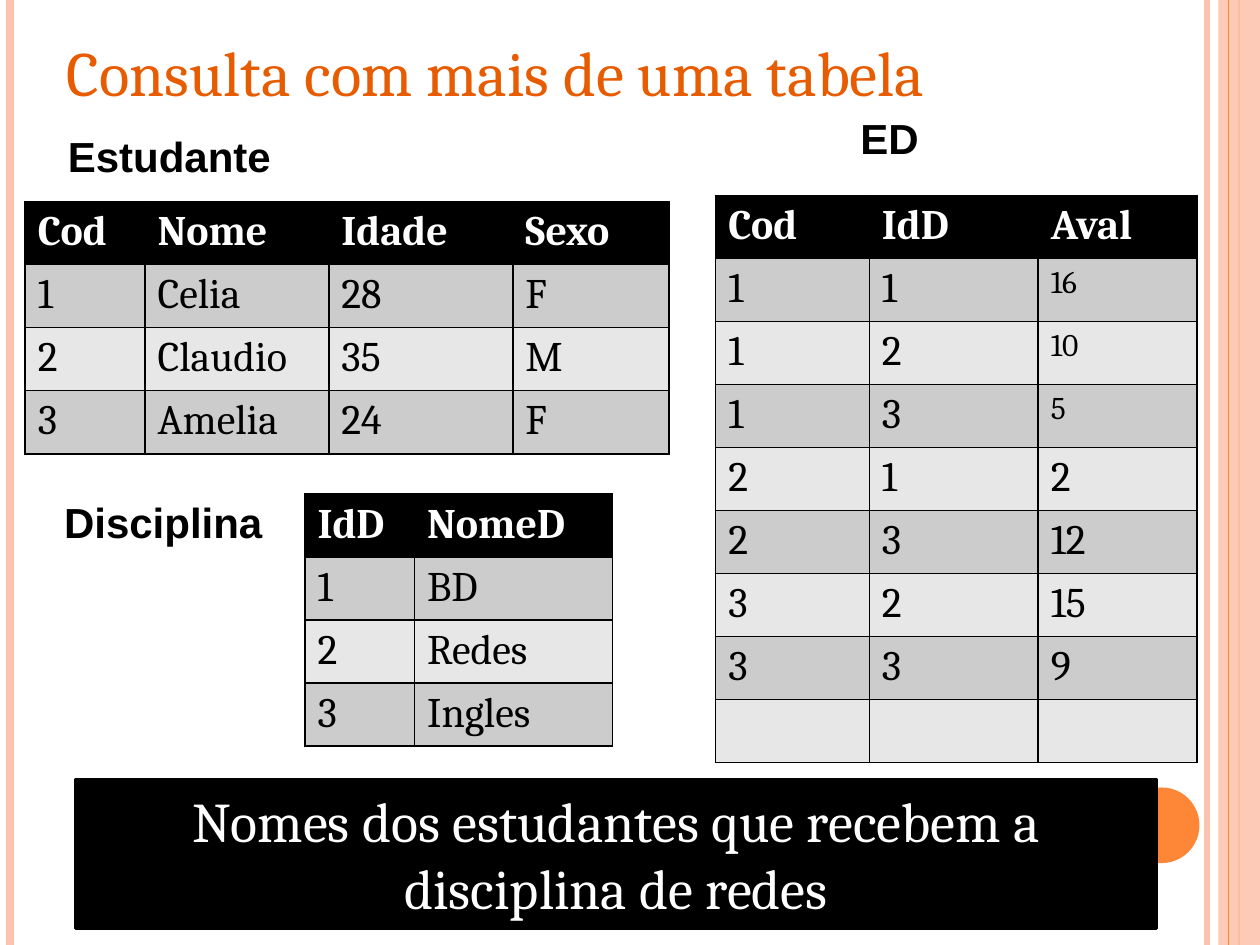
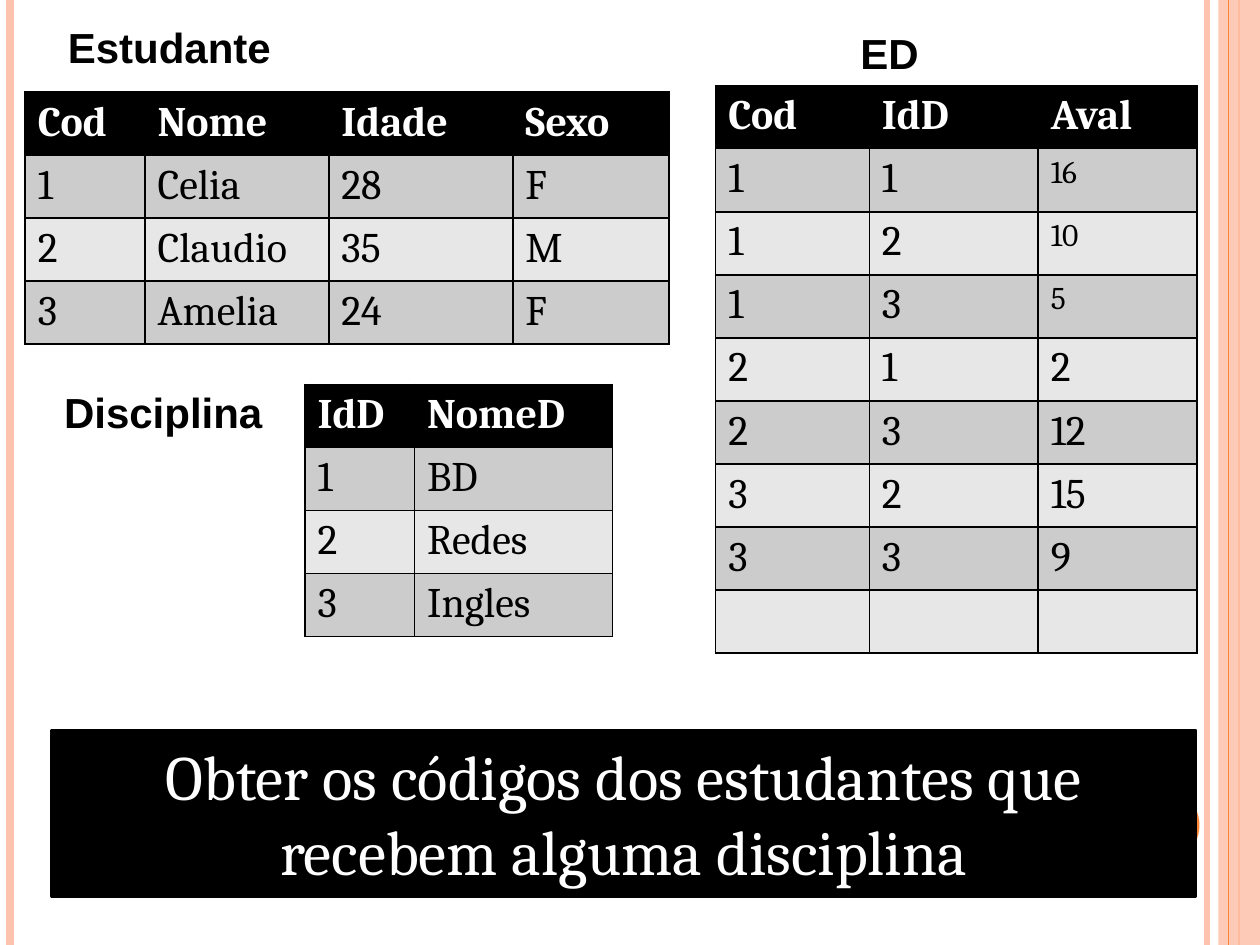
from lxml.etree import SubElement
from pptx import Presentation
from pptx.dml.color import RGBColor
from pptx.enum.shapes import MSO_CONNECTOR as Connector, MSO_SHAPE as Shape
from pptx.enum.text import MSO_AUTO_SIZE as AutoSize, MSO_ANCHOR as Anchor, PP_ALIGN as Align
from pptx.oxml import parse_xml
from pptx.oxml.ns import nsdecls, qn
from pptx.util import Inches, Pt

BLACK = RGBColor(0x00, 0x00, 0x00)
WHITE = RGBColor(0xFF, 0xFF, 0xFF)
ORANGE = RGBColor(0xFE, 0x86, 0x37)
PEACH = RGBColor(0xFE, 0xC3, 0xAE)
TITLE_ORANGE = RGBColor(0xE7, 0x5C, 0x01)
ROW_DARK = RGBColor(0xCC, 0xCC, 0xCC)
ROW_LIGHT = RGBColor(0xE7, 0xE7, 0xE7)

deck = Presentation()
deck.slide_width, deck.slide_height = Inches(10), Inches(7.5)

# Grid of 100 columns by 75 rows
COL = deck.slide_width // 100
ROW = deck.slide_height // 75


def place(left, top, width, height):
    return int(left * COL), int(top * ROW), int(width * COL), int(height * ROW)


def write(frame, text, size=24, font="Cambria", color=BLACK, bold=False, align=Align.LEFT):
    paragraph = frame.paragraphs[0]
    paragraph.alignment = align
    run = paragraph.add_run()
    run.text = text
    run.font.size, run.font.name, run.font.bold = Pt(size), font, bold
    run.font.color.rgb = color


# Relations: left, top, column widths, rows
estudante = (2, 16, (9.5, 14.6, 14.6, 12.4), [
    ("Cod", "Nome", "Idade", "Sexo"),
    ("1", "Celia", "28", "F"),
    ("2", "Claudio", "35", "M"),
    ("3", "Amelia", "24", "F"),
])
disciplina = (24.2, 39.2, (8.7, 15.7), [
    ("IdD", "NomeD"), ("1", "BD"), ("2", "Redes"), ("3", "Ingles"),
])
ed = (56.8, 15.5, (12.2, 13.4, 12.6), [
    ("Cod", "IdD", "Aval"),
    ("1", "1", "16"), ("1", "2", "10"), ("1", "3", "5"),
    ("2", "1", "2"), ("2", "3", "12"),
    ("3", "2", "15"), ("3", "3", "9"),
    ("", "", ""),
])
SMALL_GRADES = {(1, 2), (2, 2), (3, 2)}

# What differs between the slides
queries = [
    dict(title="Consulta com mais de uma tabela", lift=0, ed_label=8.4, row_height=5,
         question="Nomes dos estudantes que recebem a disciplina de redes",
         size=32, box=(6, 61.9, 85.8, 11.8)),
    dict(title=None, lift=8.7, ed_label=1.7, row_height=4.84,
         question="Obter os códigos dos estudantes que recebem alguma disciplina",
         size=36, box=(4.1, 58, 90.8, 13.1)),
]

for query in queries:
    slide = deck.slides.add_slide(deck.slide_layouts[6])
    shapes = slide.shapes
    lift = query["lift"]

    # Side band and disc
    band = shapes.add_shape(Shape.RECTANGLE, *place(96.7, 0, 3.3, 75))
    disc = shapes.add_shape(Shape.OVAL, *place(89.2, 62.5, 6, 6))
    for part, color in ((band, PEACH), (disc, ORANGE)):
        part.shadow.inherit = False
        part.fill.solid()
        part.fill.fore_color.rgb = color
        part.line.fill.background()
    band_color = next(band.element.spPr.iter(qn("a:srgbClr")))
    SubElement(band_color, qn("a:alpha"), val="87000")

    # Vertical rules; the one along the band's middle lies behind it
    for x, color, weight in ((95.8, PEACH, 3), (0.8, PEACH, 4.5),
                             (98.3, ORANGE, 1.5), (97.5, ORANGE, 0.75)):
        left, top, _, bottom = place(x, 0, 0, 75)
        rule = shapes.add_connector(Connector.STRAIGHT, left, top, left, bottom)
        rule.line.color.rgb = color
        rule.line.width = Pt(weight)
        SubElement(rule.element.spPr, qn("a:effectLst"))
        if x == 98.3:
            rule.begin_connect(band, 0)
            rule.end_connect(band, 2)
            band.element.addprevious(rule.element)

    # Title and relation names
    label = dict(font="Arial", bold=True)
    texts = [
        ("Estudante", (4.4, 9.9 - lift, 18.3, 5), label),
        ("Disciplina", (4.1, 38.9 - lift, 17.9, 5), label),
        ("ED", (67.3, query["ed_label"], 6.7, 5), label),
    ]
    if query["title"]:
        texts.append((query["title"], (4.3, 2.2, 80.8, 7.1),
                      dict(size=36, color=TITLE_ORANGE)))
    for text, spot, style in texts:
        frame = shapes.add_textbox(*place(*spot)).text_frame
        frame.word_wrap = False
        frame.auto_size = AutoSize.SHAPE_TO_FIT_TEXT
        write(frame, text, **style)

    # Relations
    for relation in (estudante, disciplina, ed):
        left, top, widths, records = relation
        height = 5 if relation is ed else query["row_height"]
        table = shapes.add_table(len(records), len(widths), *place(
            left, top - lift, sum(widths), height * len(records))).table
        for column, width in zip(table.columns, widths):
            column.width = int(width * COL)
        for r, record in enumerate(records):
            table.rows[r].height = int(height * ROW)
            for c, value in enumerate(record):
                cell = table.cell(r, c)
                cell.fill.solid()
                cell.fill.fore_color.rgb = BLACK if r == 0 else ROW_DARK if r % 2 else ROW_LIGHT
                properties = cell._tc.get_or_add_tcPr()
                for i, side in enumerate("LRTB"):
                    properties.insert(i, parse_xml(
                        f'<a:ln{side} {nsdecls("a")} w="{Pt(1)}"><a:solidFill>'
                        f'<a:srgbClr val="{BLACK}"/></a:solidFill></a:ln{side}>'))
                if value:
                    small = relation is ed and (r, c) in SMALL_GRADES
                    write(cell.text_frame, value, size=18 if small else 24,
                          color=BLACK if r else WHITE, bold=r == 0)

    # Question
    question = shapes.add_shape(Shape.RECTANGLE, *place(*query["box"]))
    question.shadow.inherit = False
    question.fill.solid()
    question.fill.fore_color.rgb = BLACK
    question.line.color.rgb = BLACK
    question.line.width = Pt(2)
    frame = question.text_frame
    frame.word_wrap = True
    frame.auto_size = AutoSize.SHAPE_TO_FIT_TEXT
    frame.vertical_anchor = Anchor.TOP
    write(frame, query["question"], size=query["size"], color=WHITE, align=Align.CENTER)

deck.save("out.pptx")
